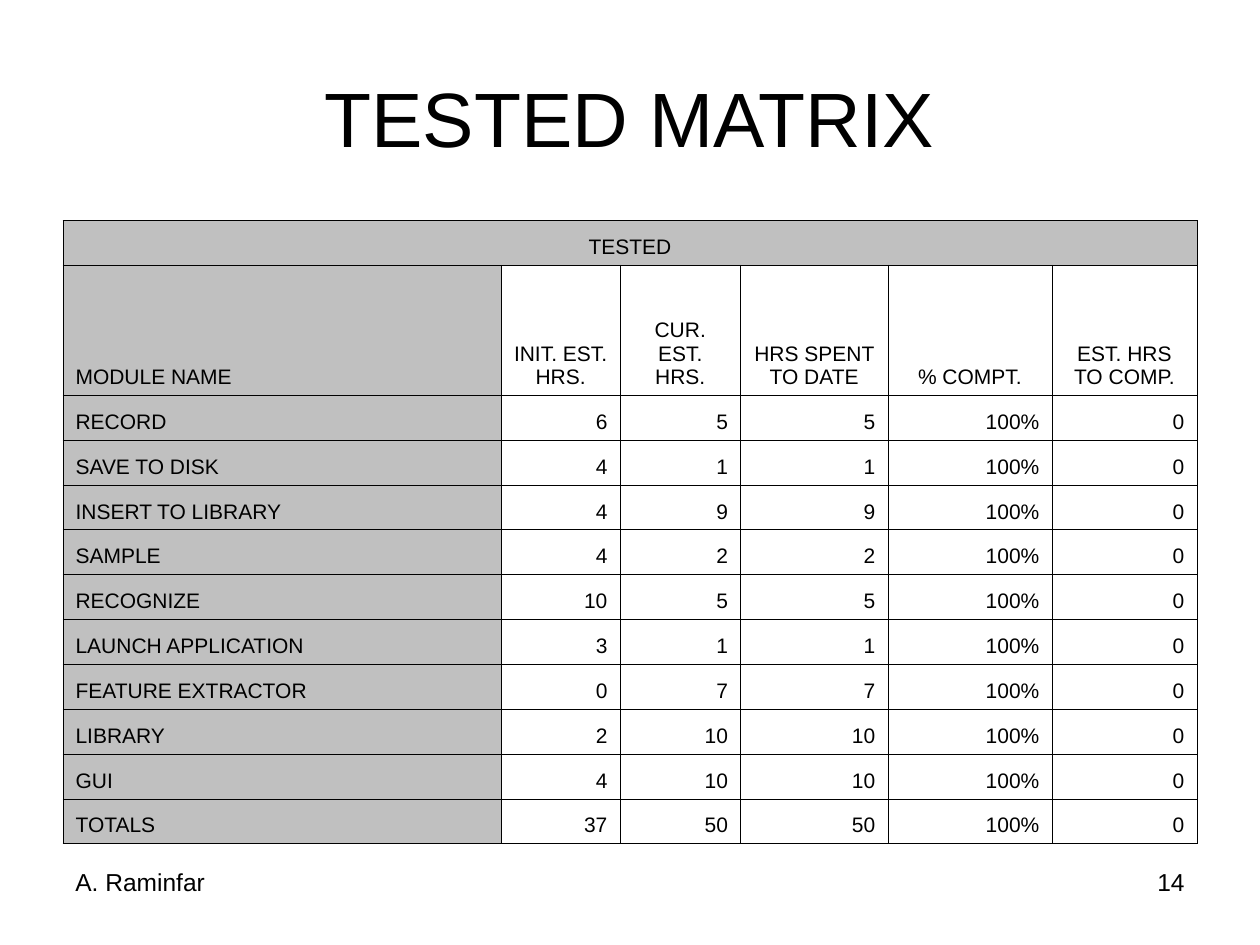
"""Build the tested matrix slide with its table of module hours."""
from lxml.etree import SubElement
from pptx import Presentation
from pptx.dml.color import RGBColor
from pptx.enum.text import MSO_ANCHOR, PP_ALIGN
from pptx.oxml.ns import qn
from pptx.util import Pt

TITLE = "TESTED MATRIX"
AUTHOR = "A. Raminfar"
PAGE_NUMBER = "14"
TABLE_TITLE = "TESTED"
HEADINGS = ("MODULE NAME", "INIT. EST. HRS.", "CUR. EST. HRS.",
            "HRS SPENT TO DATE", "% COMPT.", "EST. HRS TO COMP.")
MODULES = [
    ("RECORD", "6", "5", "5", "100%", "0"),
    ("SAVE TO DISK", "4", "1", "1", "100%", "0"),
    ("INSERT TO LIBRARY", "4", "9", "9", "100%", "0"),
    ("SAMPLE", "4", "2", "2", "100%", "0"),
    ("RECOGNIZE", "10", "5", "5", "100%", "0"),
    ("LAUNCH APPLICATION", "3", "1", "1", "100%", "0"),
    ("FEATURE EXTRACTOR", "0", "7", "7", "100%", "0"),
    ("LIBRARY", "2", "10", "10", "100%", "0"),
    ("GUI", "4", "10", "10", "100%", "0"),
    ("TOTALS", "37", "50", "50", "100%", "0"),
]
COLUMN_WIDTHS = (250.5, 67.8, 68.9, 84.2, 93.8, 82.8)
ROW_HEIGHT, HEADING_HEIGHT = 25.65, 74.25
LEFT, WIDTH, TABLE_TOP = 36, 648, 126
FOOTER_TOP, FOOTER_WIDTH, FOOTER_HEIGHT = 492, 168, 37.5
FONT, BLACK, GRAY = "Arial", "000000", "C0C0C0"


def color(value):
    """Turn a hex string into a colour."""
    return RGBColor.from_string(value)


def write(frame, text, size=12, align=PP_ALIGN.LEFT):
    """Put one formatted paragraph into a text frame."""
    frame.word_wrap = True
    paragraph = frame.paragraphs[0]
    paragraph.alignment = align
    run = paragraph.add_run()
    run.text = text
    run.font.name = FONT
    run.font.size = Pt(size)
    run.font.color.rgb = color(BLACK)


def add_text(slide, text, left, top, width, height, anchor=MSO_ANCHOR.TOP, **text_format):
    """Add a text box with one paragraph."""
    box = slide.shapes.add_textbox(Pt(left), Pt(top), Pt(width), Pt(height))
    box.text_frame.vertical_anchor = anchor
    write(box.text_frame, text, **text_format)


def style_cell(cell, shaded):
    """Set the anchor, borders and fill of a cell."""
    cell.vertical_anchor = MSO_ANCHOR.BOTTOM
    properties = cell._tc.get_or_add_tcPr()
    for side in ("lnL", "lnR", "lnT", "lnB"):
        border = SubElement(properties, qn(f"a:{side}"), w=str(Pt(0.45)))
        fill = SubElement(border, qn("a:solidFill"))
        SubElement(fill, qn("a:srgbClr"), val=BLACK)
    if shaded:
        cell.fill.solid()
        cell.fill.fore_color.rgb = color(GRAY)
    else:
        cell.fill.background()


def add_matrix(slide):
    """Add the table of estimated and spent hours."""
    rows = [(TABLE_TITLE,), HEADINGS, *MODULES]
    heights = [ROW_HEIGHT, HEADING_HEIGHT] + [ROW_HEIGHT] * len(MODULES)
    table = slide.shapes.add_table(
        len(rows), len(HEADINGS), Pt(LEFT), Pt(TABLE_TOP), Pt(WIDTH), Pt(sum(heights))).table
    table.first_row = False
    table.horz_banding = False
    for column, width in zip(table.columns, COLUMN_WIDTHS):
        column.width = Pt(width)
    for row, height in zip(table.rows, heights):
        row.height = Pt(height)
    for row_index, row in enumerate(table.rows):
        for column_index, cell in enumerate(row.cells):
            style_cell(cell, shaded=row_index == 0 or column_index == 0)
    table.cell(0, 0).merge(table.cell(0, len(HEADINGS) - 1))
    for row_index, texts in enumerate(rows):
        for column_index, text in enumerate(texts):
            if row_index == 0 or (row_index == 1 and column_index > 0):
                align = PP_ALIGN.CENTER
            else:
                align = PP_ALIGN.RIGHT if column_index else PP_ALIGN.LEFT
            write(table.cell(row_index, column_index).text_frame, text, align=align)


def main():
    """Create and save the presentation."""
    presentation = Presentation()
    presentation.slide_width, presentation.slide_height = Pt(720), Pt(540)
    slide = presentation.slides.add_slide(presentation.slide_layouts[6])
    add_text(slide, TITLE, LEFT, 21.6, WIDTH, 90, MSO_ANCHOR.MIDDLE,
             size=44, align=PP_ALIGN.CENTER)
    add_matrix(slide)
    add_text(slide, PAGE_NUMBER, LEFT + WIDTH - FOOTER_WIDTH, FOOTER_TOP,
             FOOTER_WIDTH, FOOTER_HEIGHT, size=14, align=PP_ALIGN.RIGHT)
    add_text(slide, AUTHOR, LEFT, FOOTER_TOP, FOOTER_WIDTH, FOOTER_HEIGHT, size=14)
    presentation.save("out.pptx")


if __name__ == "__main__":
    main()
